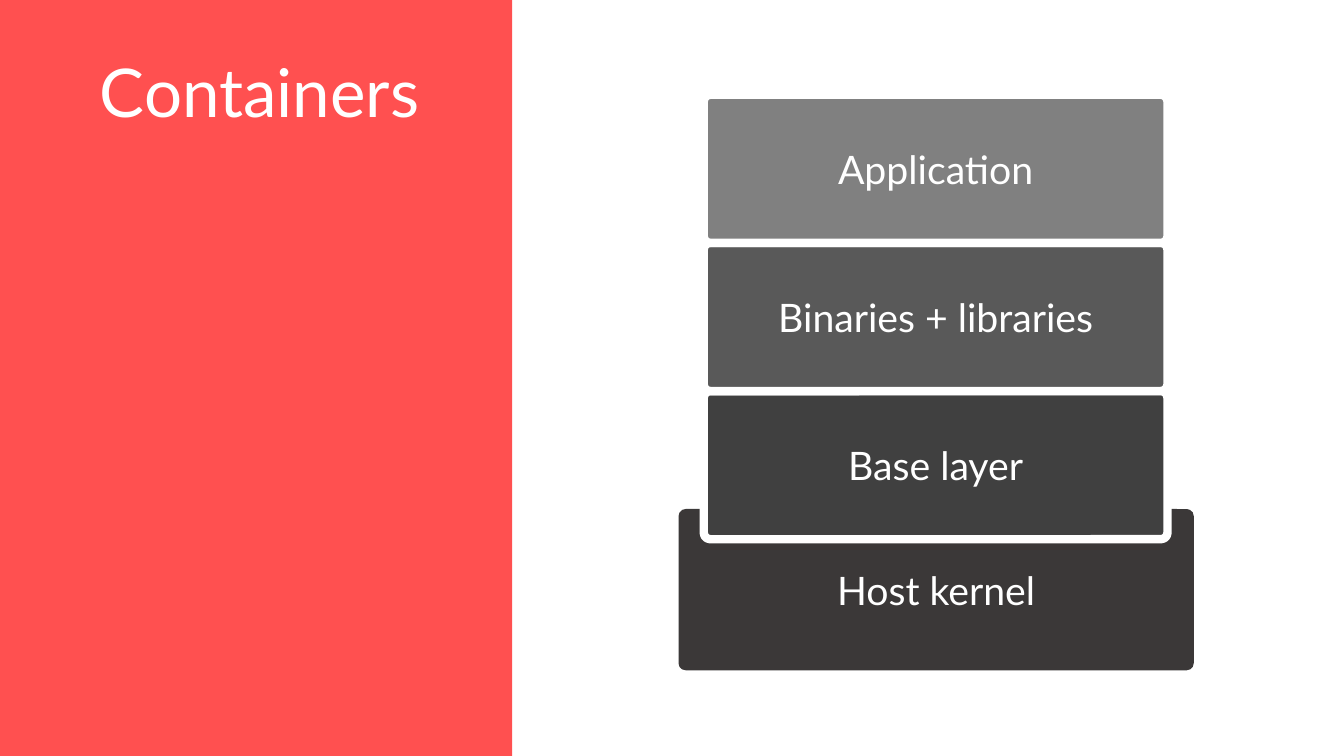
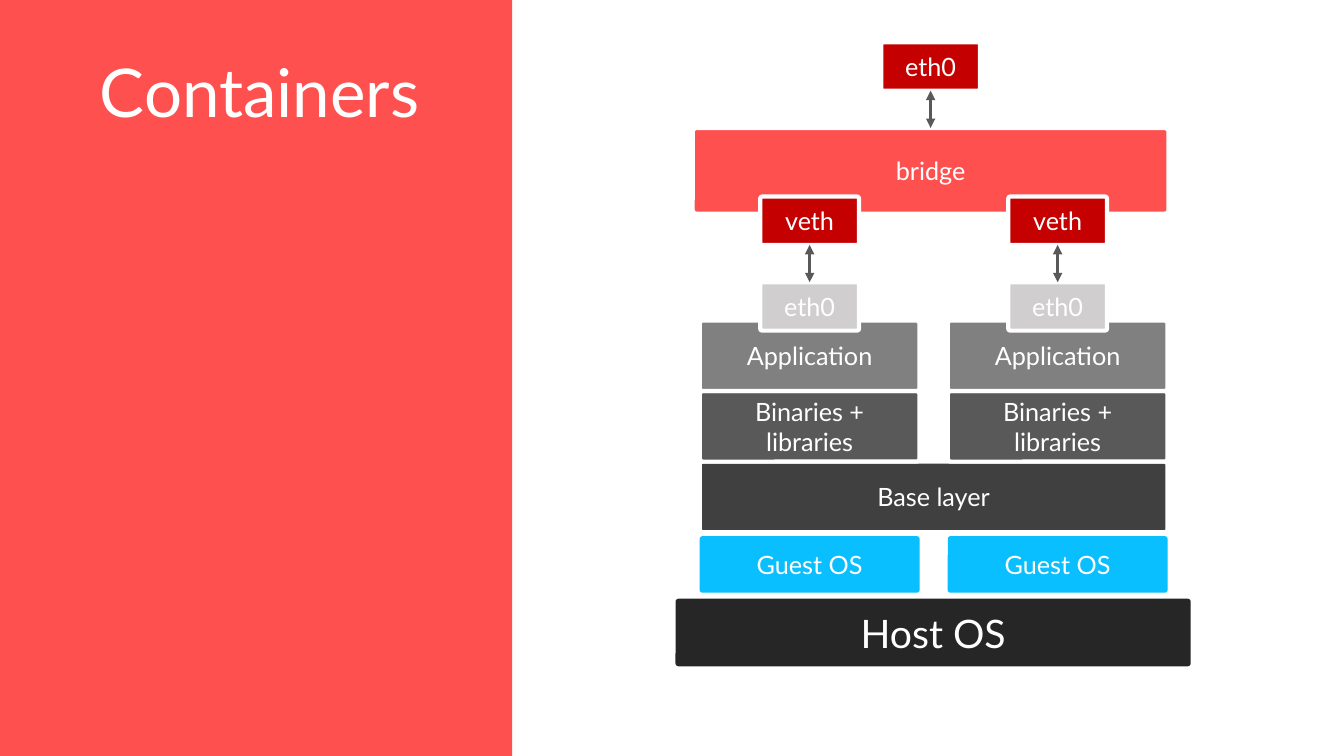
"""Two slides on containers: the layer stack and its network wiring."""
from lxml import etree
from pptx import Presentation
from pptx.dml.color import RGBColor
from pptx.enum import shapes, text
from pptx.oxml import ns
from pptx.util import Inches, Pt

COLOURS = {
    "white": "FFFFFF",
    "coral": "FF5050",
    "red": "C40000",
    "sky": "09BFFF",
    "silver": "D0CECE",
    "application": "808080",
    "binaries": "595959",
    "base": "404040",
    "kernel": "3B3838",
    "host": "262626",
}
FONT = "Lato"
TITLE_ONLY = 5


def colour(name):
    return RGBColor.from_string(COLOURS[name])


class ContainerDeck:
    def __init__(self):
        self.deck = Presentation()
        self.deck.slide_width = Inches(13.33)
        self.deck.slide_height = Inches(7.5)
        self.page = None

    def add_page(self, title):
        self.page = self.deck.slides.add_slide(self.deck.slide_layouts[TITLE_ONLY])
        heading = self.page.shapes.title
        heading.left, heading.top = Inches(0.62), Inches(0.54)
        heading.width, heading.height = Inches(3.91), Inches(0.91)
        frame = heading.text_frame
        frame.text = title
        frame.word_wrap = True
        frame.auto_size = text.MSO_AUTO_SIZE.NONE
        frame.vertical_anchor = text.MSO_ANCHOR.TOP
        para = frame.paragraphs[0]
        para.line_spacing = 0.9
        self.style(para, 48)
        panel = self.shape(shapes.MSO_SHAPE.RECTANGLE, 0, 0, 5.08, 7.5, "coral")
        heading.element.addprevious(panel.element)

    def style(self, para, size):
        para.alignment = text.PP_ALIGN.CENTER
        para.font.name = FONT
        para.font.size = Pt(size)
        para.font.color.rgb = colour("white")

    def shape(self, kind, left, top, width, height, fill, border=0):
        shape = self.page.shapes.add_shape(
            kind, Inches(left), Inches(top), Inches(width), Inches(height))
        shape.shadow.inherit = False
        shape.fill.solid()
        shape.fill.fore_color.rgb = colour(fill)
        if border:
            shape.line.color.rgb = colour("white")
            shape.line.width = Pt(border)
        else:
            shape.line.fill.background()
        return shape

    def box(self, label, left, top, width, height, fill, size=18, border=3):
        box = self.shape(shapes.MSO_SHAPE.ROUNDED_RECTANGLE,
                         left, top, width, height, fill, border)
        box.adjustments[0] = 0.044
        frame = box.text_frame
        frame.text = label
        frame.word_wrap = True
        frame.vertical_anchor = text.MSO_ANCHOR.MIDDLE
        self.style(frame.paragraphs[0], size)
        return box

    def port(self, label, left, top, fill):
        return self.box(label, left, top, 0.98, 0.48, fill)

    def link(self, upper, lower):
        arrow = self.page.shapes.add_connector(shapes.MSO_CONNECTOR.STRAIGHT, 0, 0, 0, 0)
        arrow.begin_connect(upper, 2)
        arrow.end_connect(lower, 0)
        arrow.line.color.rgb = colour("binaries")
        arrow.line.width = Pt(2.25)
        outline = arrow.line._get_or_add_ln()
        for end in ("a:headEnd", "a:tailEnd"):
            etree.SubElement(outline, ns.qn(end), type="triangle")
        etree.SubElement(arrow.element.spPr, ns.qn("a:effectLst"))


def layer_page(deck):
    deck.add_page("Containers")
    deck.box("Host kernel", 6.73, 5.05, 5.11, 1.6, "kernel", 28, 0)
    layers = [("Base layer", "base"), ("Binaries + libraries", "binaries"),
              ("Application", "application")]
    for level, (label, fill) in enumerate(layers):
        deck.box(label, 6.98, 3.88 - 1.47 * level, 4.6, 1.47, fill, 28, 6)


def network_page(deck):
    left, step, width, height = 6.94, 2.46, 2.18, 0.7
    deck.add_page("Containers")
    deck.box("Host OS", 6.7, 5.94, 5.11, 0.67, "host", 28, 0)
    deck.box("Base layer", left, 4.58, step + width, height, "base")
    bridge = deck.box("bridge", 6.87, 1.27, 4.72, 0.85, "coral")
    for column in range(2):
        x = left + step * column
        deck.box("Binaries + libraries", x, 3.88, width, height, "binaries")
        deck.box("Application", x, 3.18, width, height, "application")
        deck.box("Guest OS", x, 5.32, width, 0.56, "sky", border=0)
        inner = deck.port("eth0", x + 0.6, 2.8, "silver")
        outer = deck.port("veth", x + 0.6, 1.95, "red")
        deck.link(outer, inner)
    deck.link(deck.port("eth0", 8.74, 0.42, "red"), bridge)


def main():
    deck = ContainerDeck()
    layer_page(deck)
    network_page(deck)
    deck.deck.save("out.pptx")


if __name__ == "__main__":
    main()
